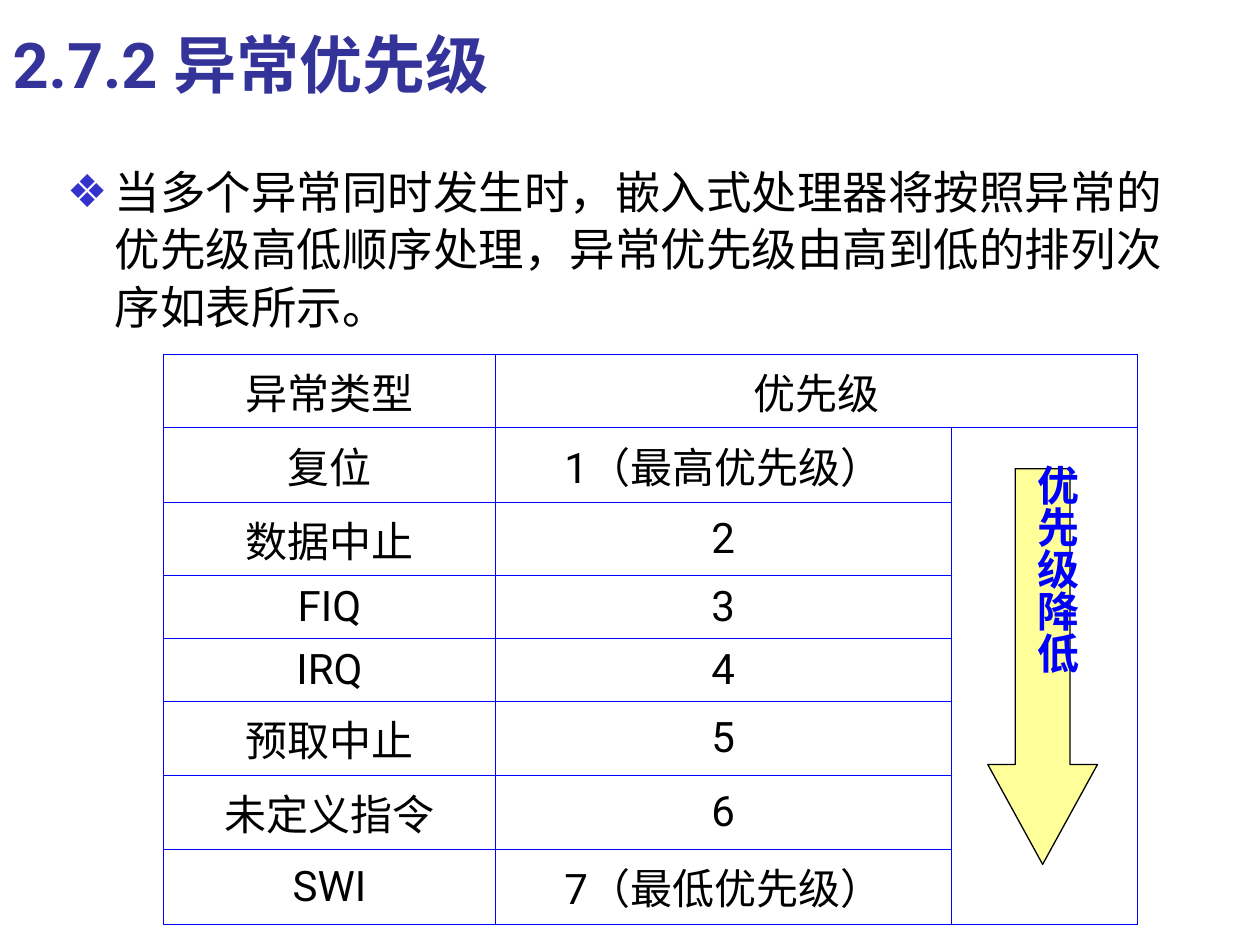
from dataclasses import dataclass
from typing import Any, NamedTuple

from lxml import etree
from pptx import Presentation, util as u
from pptx.dml.color import RGBColor
from pptx.enum import shapes, text
from pptx.oxml import ns


@dataclass(frozen=True)
class TextStyle:
    font: str
    size: float
    color: str
    bold: bool = False


@dataclass(frozen=True)
class Theme:
    title: TextStyle = TextStyle("Roboto", 36, "333399", True)
    body: TextStyle = TextStyle("Roboto", 26, "000000")
    cell: TextStyle = TextStyle("Roboto", 24, "000000")
    label: TextStyle = TextStyle("Times New Roman", 24, "0000FF", True)
    bullet: str = "3333CC"
    border: str = "0000FF"
    border_width: float = 0.45
    arrow_fill: str = "FFFF99"
    arrow_line: str = "000000"
    arrow_width: float = 0.75


class Area(NamedTuple):
    left: float
    top: float
    width: float
    height: float


class ExceptionRow(NamedTuple):
    kind: str
    priority: str
    height: float


THEME = Theme()
SLIDE_WIDTH, SLIDE_HEIGHT = u.Inches(10), u.Inches(7.5)
SHORT_ROW, TALL_ROW = 6.67, 7.87
COLUMNS = (26.3, 36.2, 14.8)
ROWS = (
    ExceptionRow("异常类型", "优先级", SHORT_ROW),
    ExceptionRow("复位", "1（最高优先级）", TALL_ROW),
    ExceptionRow("数据中止", "2", SHORT_ROW),
    ExceptionRow("FIQ", "3", SHORT_ROW),
    ExceptionRow("IRQ", "4", SHORT_ROW),
    ExceptionRow("预取中止", "5", SHORT_ROW),
    ExceptionRow("未定义指令", "6", TALL_ROW),
    ExceptionRow("SWI", "7（最低优先级）", TALL_ROW),
)
TITLE_AREA = Area(0, 0, 85.2, 13.33)
BODY_AREA = Area(4.3, 16.4, 90, 21.33)
TABLE_AREA = Area(13, 37.47, sum(COLUMNS), sum(row.height for row in ROWS))
ARROW_AREA = Area(78.4, 49.6, 8.7, 41.87)
LABEL_AREA = Area(80.4, 47.87, 6, 41.87)


def across(share: float) -> int:
    return round(SLIDE_WIDTH * share / 100)


def down(share: float) -> int:
    return round(SLIDE_HEIGHT * share / 100)


def measure(area: Area) -> tuple[int, int, int, int]:
    return across(area.left), down(area.top), across(area.width), down(area.height)


def place(box: Any, area: Area) -> None:
    box.left, box.top, box.width, box.height = measure(area)


def write(frame: Any, words: str, style: TextStyle, align: Any) -> Any:
    para = frame.paragraphs[0]
    para.alignment = align
    para.space_before = u.Pt(0)
    span = para.add_run()
    span.text = words
    span.font.name = style.font
    span.font.size = u.Pt(style.size)
    span.font.bold = style.bold
    span.font.color.rgb = RGBColor.from_string(style.color)
    return para


def add_colored(parent: Any, tag: str, color: str) -> None:
    holder = etree.SubElement(parent, ns.qn(tag))
    etree.SubElement(holder, ns.qn("a:srgbClr"), val=color)


def add_bullet(para: Any, mark: str) -> None:
    properties = para._p.get_or_add_pPr()
    properties.set("marL", str(u.Inches(0.38)))
    properties.set("indent", str(u.Inches(-0.38)))
    add_colored(properties, "a:buClr", THEME.bullet)
    etree.SubElement(properties, ns.qn("a:buChar"), char=mark)


def format_cell(cell: Any) -> None:
    cell.vertical_anchor = text.MSO_ANCHOR.MIDDLE
    properties = cell._tc.get_or_add_tcPr()
    for side in ("a:lnL", "a:lnR", "a:lnT", "a:lnB"):
        line = etree.SubElement(properties, ns.qn(side), w=str(u.Pt(THEME.border_width)))
        add_colored(line, "a:solidFill", THEME.border)
    cell.fill.background()


def add_priority_table(page: Any) -> None:
    frame = page.shapes.add_table(len(ROWS), len(COLUMNS), *measure(TABLE_AREA))
    table = frame.table
    table.first_row = table.horz_banding = False
    for column, width in zip(table.columns, COLUMNS):
        column.width = across(width)
    for index, row in enumerate(ROWS):
        table.rows[index].height = down(row.height)
        for cell in table.rows[index].cells:
            format_cell(cell)
        for column, words in enumerate((row.kind, row.priority)):
            write(table.cell(index, column).text_frame, words, THEME.cell, text.PP_ALIGN.CENTER)
    last = len(COLUMNS) - 1
    table.cell(0, 1).merge(table.cell(0, last))
    table.cell(1, last).merge(table.cell(len(ROWS) - 1, last))


def add_priority_arrow(page: Any) -> None:
    group = page.shapes.add_group_shape()
    arrow = group.shapes.add_shape(shapes.MSO_SHAPE.DOWN_ARROW, *measure(ARROW_AREA))
    arrow.shadow.inherit = False
    arrow.adjustments[0], arrow.adjustments[1] = 0.5, 0.91
    arrow.fill.solid()
    arrow.fill.fore_color.rgb = RGBColor.from_string(THEME.arrow_fill)
    arrow.line.color.rgb = RGBColor.from_string(THEME.arrow_line)
    arrow.line.width = u.Pt(THEME.arrow_width)
    label = group.shapes.add_textbox(*measure(LABEL_AREA))
    frame = label.text_frame
    frame.word_wrap = True
    frame.auto_size = text.MSO_AUTO_SIZE.SHAPE_TO_FIT_TEXT
    frame.margin_left = frame.margin_right = u.Inches(0.05)
    frame.margin_top = frame.margin_bottom = u.Inches(0.1)
    frame._txBody.bodyPr.set("vert", "eaVert")
    write(frame, "优先级降低", THEME.label, text.PP_ALIGN.CENTER)


def main() -> None:
    deck = Presentation()
    deck.slide_width, deck.slide_height = SLIDE_WIDTH, SLIDE_HEIGHT
    page = deck.slides.add_slide(deck.slide_layouts[1])
    add_priority_table(page)
    add_priority_arrow(page)

    title, body = page.shapes.title, page.placeholders[1]
    for box, area, anchor in (
        (title, TITLE_AREA, text.MSO_ANCHOR.MIDDLE),
        (body, BODY_AREA, text.MSO_ANCHOR.TOP),
    ):
        place(box, area)
        box.text_frame.auto_size = text.MSO_AUTO_SIZE.NONE
        box.text_frame.vertical_anchor = anchor
    write(title.text_frame, "2.7.2 异常优先级", THEME.title, text.PP_ALIGN.LEFT)
    para = write(
        body.text_frame,
        "当多个异常同时发生时，嵌入式处理器将按照异常的优先级高低顺序处理，异常优先级由高到低的排列次序如表所示。",
        THEME.body,
        text.PP_ALIGN.LEFT,
    )
    add_bullet(para, "❖")
    para.line_spacing = 1.05
    deck.save("out.pptx")


if __name__ == "__main__":
    main()
